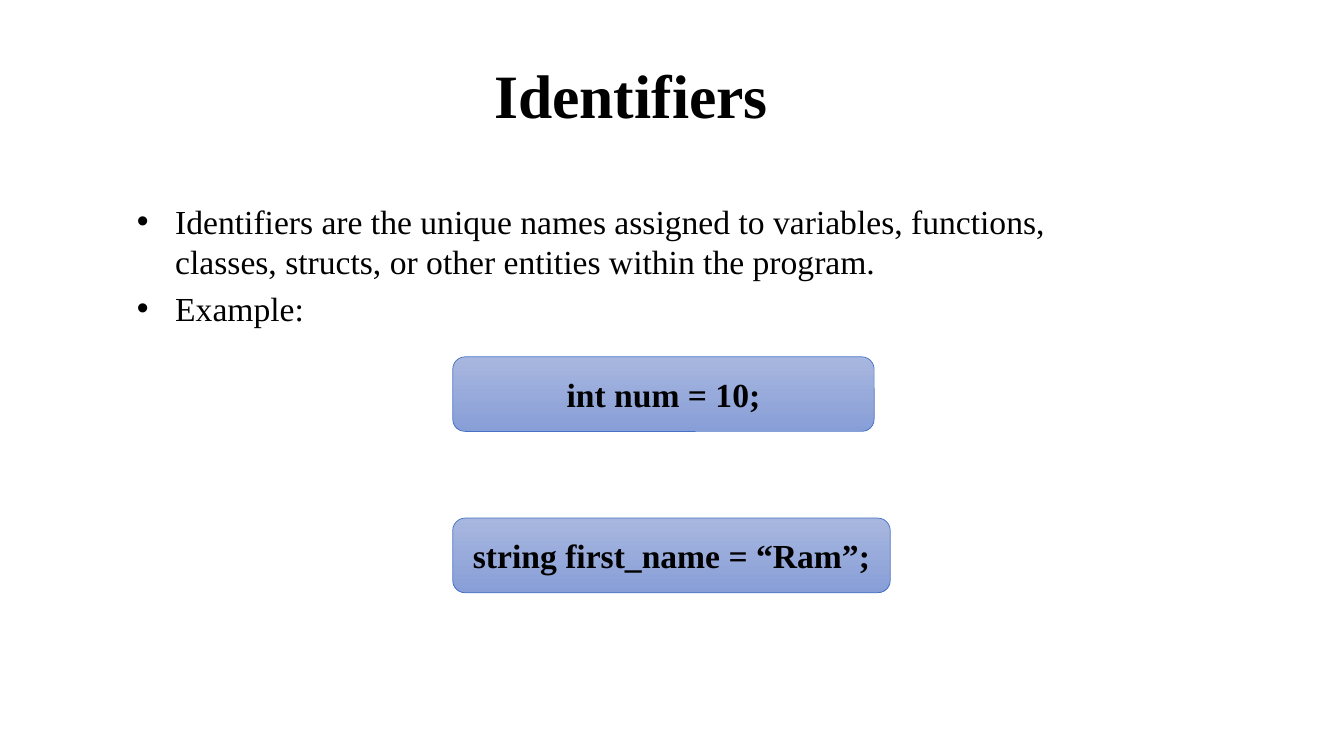
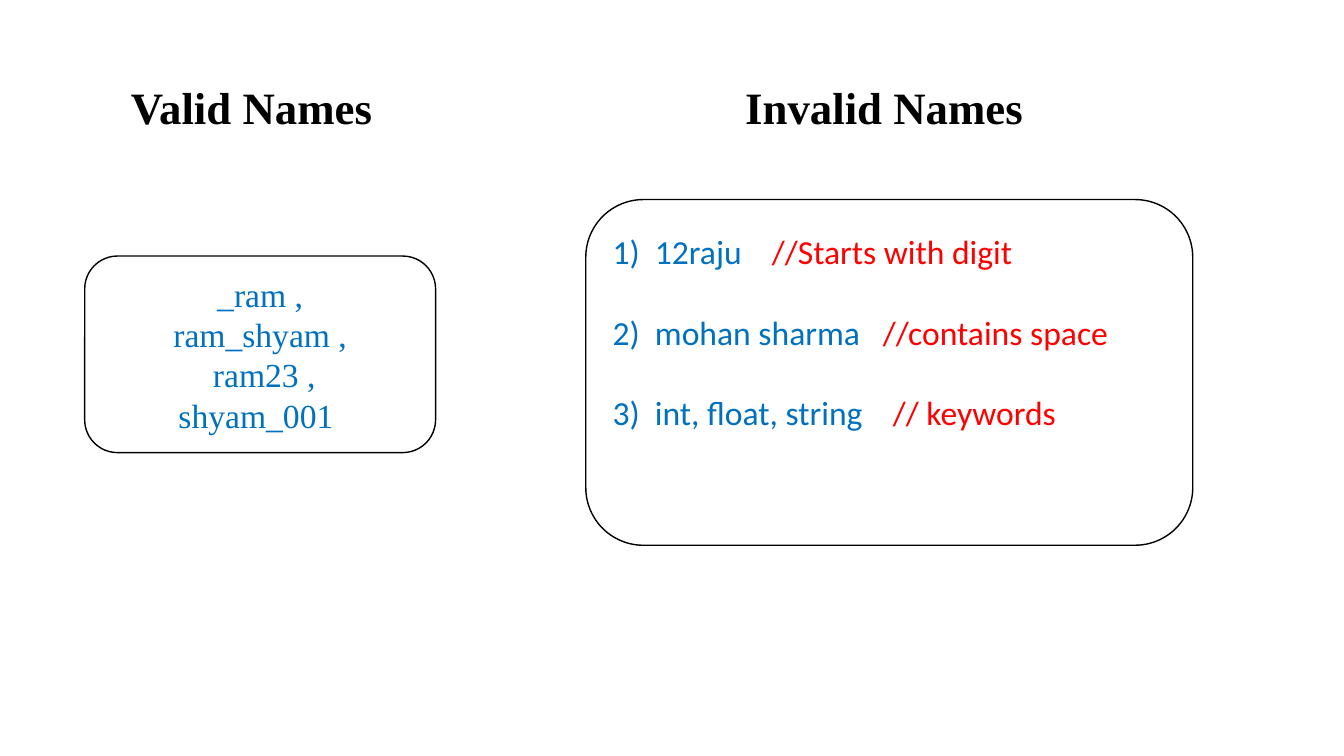
from dataclasses import dataclass

from lxml.etree import SubElement
from pptx import Presentation
from pptx.dml.color import RGBColor
from pptx.enum.shapes import MSO_SHAPE
from pptx.enum.text import MSO_ANCHOR, PP_ALIGN
from pptx.oxml.ns import qn
from pptx.util import Inches, Pt


@dataclass(frozen=True)
class Theme:
    serif: str = "Times New Roman"
    sans: str = "Calibri"
    black: str = "000000"
    white: str = "FFFFFF"
    blue: str = "0070C0"
    red: str = "FF0000"
    code_line: str = "4472C4"
    code_fill: tuple = ("A8B7DF", "889ED7")
    title_size: int = 44
    heading_size: int = 32
    body_size: int = 24


THEME = Theme()

# Content
TITLE = "Identifiers"
BULLETS = [
    "Identifiers are the unique names assigned to variables, functions, "
    "classes, structs, or other entities within the program.",
    "Example:",
]
CODE_EXAMPLES = [("int num = 10;", 4.18), ("string first_name = “Ram”;", 4.34)]
HEADINGS = [
    ("Valid Names", (1.04, 0.53, 2.91, 1.06)),
    ("Invalid Names", (7.25, 0.73, 3.04, 0.65)),
]
VALID_NAMES = ["_ram ,", "ram_shyam ,", " ram23 ,", "shyam_001 "]
# Name, reason, and where the reason starts (inches from the text edge)
INVALID_NAMES = [
    ("12raju", "//Starts with digit", 1.58),
    ("mohan sharma", "//contains space", 2.68),
    ("int, float, string", "// keywords", 2.78),
]

# Layout, in inches
CODE_LEFT, CODE_TOP, CODE_HEIGHT, CODE_PITCH = 4.49, 3.54, 0.74, 1.6
NAME_TAB = 0.42
HANGING_INDENT = 0.38


def color(value):
    return RGBColor.from_string(value)


def prepare_frame(shape, anchor):
    frame = shape.text_frame
    frame.word_wrap = True
    frame.vertical_anchor = anchor
    return frame


def add_text_box(slide, box, anchor=MSO_ANCHOR.TOP):
    shape = slide.shapes.add_textbox(*map(Inches, box))
    return prepare_frame(shape, anchor)


def add_box(slide, kind, box, fill, line=None, line_width=1,
            anchor=MSO_ANCHOR.MIDDLE):
    shape = slide.shapes.add_shape(kind, *map(Inches, box))
    shape.shadow.inherit = False
    if line:
        shape.line.color.rgb = color(line)
        shape.line.width = Pt(line_width)
    else:
        shape.line.fill.background()
    if isinstance(fill, tuple):
        shape.fill.gradient()
        shape.fill.gradient_angle = 270
        for stop, value in zip(shape.fill.gradient_stops, fill):
            stop.color.rgb = color(value)
    else:
        shape.fill.solid()
        shape.fill.fore_color.rgb = color(fill)
    return prepare_frame(shape, anchor)


def add_paragraph(frame, index, align=PP_ALIGN.LEFT, space_before=0):
    paragraph = frame.add_paragraph() if index else frame.paragraphs[0]
    paragraph.alignment = align
    if index and space_before:
        paragraph.space_before = Pt(space_before)
    return paragraph


def add_run(paragraph, text, size=THEME.body_size, font=THEME.serif,
            fill=THEME.black, bold=False):
    run = paragraph.add_run()
    run.text = text
    run.font.size = Pt(size)
    run.font.name = font
    run.font.bold = bold
    run.font.color.rgb = color(fill)


def set_bullet(paragraph):
    properties = paragraph._p.get_or_add_pPr()
    properties.set("marL", str(Inches(HANGING_INDENT)))
    properties.set("indent", str(-Inches(HANGING_INDENT)))
    SubElement(properties, qn("a:buFont")).set("typeface", "Arial")
    SubElement(properties, qn("a:buChar")).set("char", "•")


def set_tabs(paragraph, positions):
    tabs = SubElement(paragraph._p.get_or_add_pPr(), qn("a:tabLst"))
    for position in positions:
        tab = SubElement(tabs, qn("a:tab"))
        tab.set("pos", str(Inches(position)))
        tab.set("algn", "l")


def build_identifiers(slide):
    # Title
    frame = add_text_box(slide, (1.26, 0.69, 10, 0.67), MSO_ANCHOR.BOTTOM)
    paragraph = add_paragraph(frame, 0, PP_ALIGN.CENTER)
    paragraph.line_spacing = 0.9
    add_run(paragraph, TITLE, THEME.title_size, bold=True)

    # Definition
    frame = add_text_box(slide, (1.26, 1.94, 10, 5.22))
    for index, text in enumerate(BULLETS):
        paragraph = add_paragraph(frame, index, space_before=5)
        set_bullet(paragraph)
        add_run(paragraph, text)

    # Code examples
    for index, (code, width) in enumerate(CODE_EXAMPLES):
        box = (CODE_LEFT, CODE_TOP + index * CODE_PITCH, width, CODE_HEIGHT)
        frame = add_box(slide, MSO_SHAPE.ROUNDED_RECTANGLE, box,
                        THEME.code_fill, THEME.code_line, 0.5)
        add_run(add_paragraph(frame, 0, PP_ALIGN.CENTER), code, bold=True)


def build_names(slide):
    # Valid names
    frame = add_box(slide, MSO_SHAPE.ROUNDED_RECTANGLE, (0.84, 2.54, 3.48, 1.95),
                    THEME.white, THEME.black)
    for index, name in enumerate(VALID_NAMES):
        add_run(add_paragraph(frame, index, PP_ALIGN.CENTER), name, fill=THEME.blue)

    # Invalid names with reasons
    frame = add_box(slide, MSO_SHAPE.ROUNDED_RECTANGLE, (5.81, 1.98, 6.02, 3.43),
                    THEME.white, THEME.black, anchor=MSO_ANCHOR.TOP)
    frame.margin_top = Inches(0.14)
    for index, (name, reason, reason_tab) in enumerate(INVALID_NAMES):
        paragraph = add_paragraph(frame, index, space_before=29)
        set_tabs(paragraph, (NAME_TAB, reason_tab))
        add_run(paragraph, f"{index + 1})\t{name}\t", font=THEME.sans, fill=THEME.blue)
        add_run(paragraph, reason, font=THEME.sans, fill=THEME.red)

    # Column headings
    for text, box in HEADINGS:
        frame = add_box(slide, MSO_SHAPE.RECTANGLE, box, THEME.white)
        add_run(add_paragraph(frame, 0, PP_ALIGN.CENTER), text,
                THEME.heading_size, bold=True)


def main():
    presentation = Presentation()
    presentation.slide_width = Inches(13.33)
    presentation.slide_height = Inches(7.5)
    for build in (build_identifiers, build_names):
        build(presentation.slides.add_slide(presentation.slide_layouts[6]))
    presentation.save("out.pptx")


if __name__ == "__main__":
    main()
